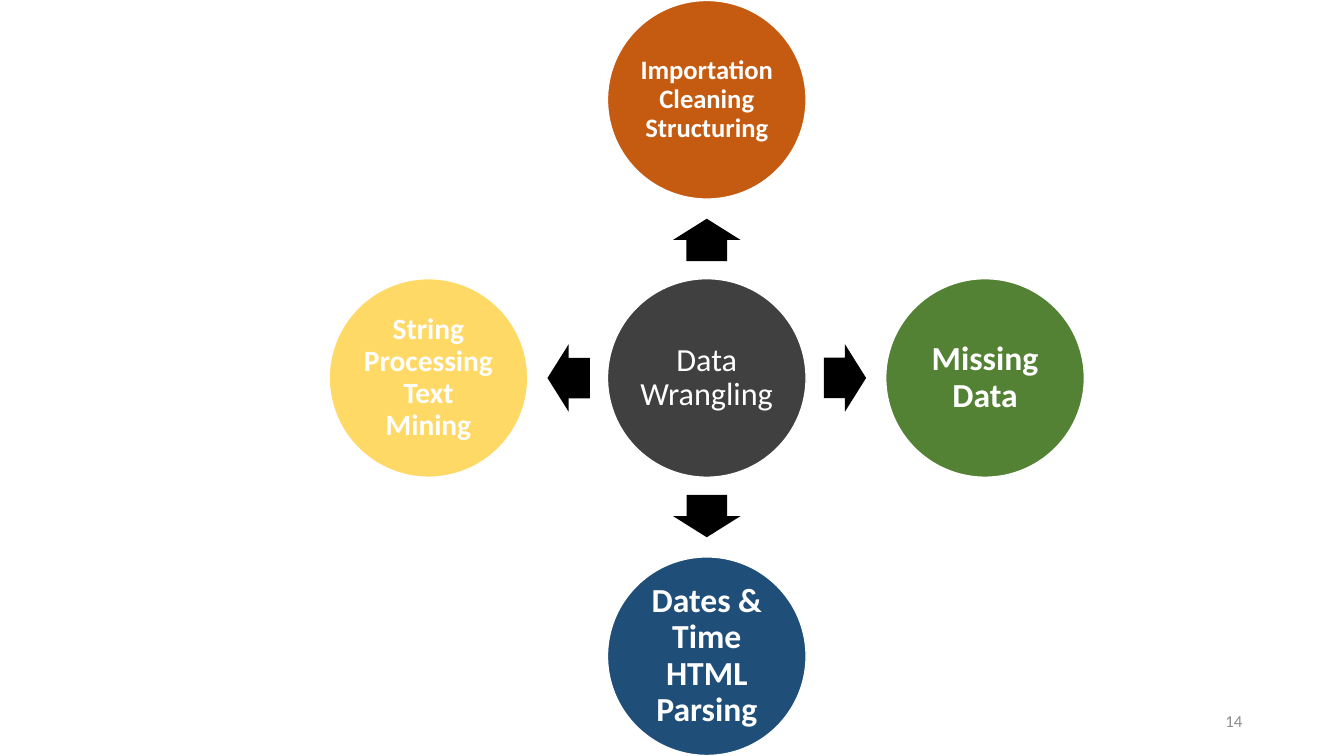
from pptx import Presentation
from pptx.dml.color import RGBColor
from pptx.enum.shapes import MSO_SHAPE
from pptx.enum.text import MSO_ANCHOR, PP_ALIGN
from pptx.util import Emu, Pt

SCALE = 9144
SIZE = 197
STEP = 276
REACH = 137
MID_X, MID_Y = 701, 375

TOPICS = [
    (0, -1, 270, "Importation Cleaning Structuring", 19, "C55A11"),
    (1, 0, 0, "Missing Data", 24, "548235"),
    (0, 1, 90, "Dates & Time HTML Parsing", 24, "1F4E79"),
    (-1, 0, 180, "String Processing Text Mining", 21, "FFD966"),
]


def px(num):
    return Emu(round(num * SCALE))


def color(code):
    return RGBColor.from_string(code)


def write(frame, text, size, ink, align, bold=False):
    frame.word_wrap = True
    frame.vertical_anchor = MSO_ANCHOR.MIDDLE
    frame.text = text
    para = frame.paragraphs[0]
    para.alignment = align
    font = para.runs[0].font
    font.name = "Calibri"
    font.size = Pt(size)
    font.bold = bold
    font.color.rgb = color(ink)
    return para


def add_solid(slide, kind, x, y, wide, high, fill):
    shape = slide.shapes.add_shape(
        kind, px(x - wide / 2), px(y - high / 2), px(wide), px(high))
    shape.shadow.inherit = False
    shape.fill.solid()
    shape.fill.fore_color.rgb = color(fill)
    return shape


def add_circle(slide, x, y, text, size, fill, bold=True):
    disc = add_solid(slide, MSO_SHAPE.OVAL, x, y, SIZE, SIZE, fill)
    disc.line.color.rgb = color("FFFFFF")
    disc.line.width = Pt(1)
    frame = disc.text_frame
    frame.margin_left = frame.margin_right = px(3)
    frame.margin_top = frame.margin_bottom = px(3)
    para = write(frame, text, size, "FFFFFF", PP_ALIGN.CENTER, bold)
    para.line_spacing = 0.9


def add_arrow(slide, x, y, turn):
    arrow = add_solid(slide, MSO_SHAPE.RIGHT_ARROW, x, y, 42, 67, "000000")
    arrow.line.fill.background()
    arrow.adjustments[0] = 0.6
    arrow.adjustments[1] = 0.5
    arrow.rotation = turn


def add_number(slide, text):
    box = slide.shapes.add_textbox(px(942), px(695), px(300), px(40))
    write(box.text_frame, text, 12, "8C8C8C", PP_ALIGN.RIGHT)


def main():
    deck = Presentation()
    deck.slide_width, deck.slide_height = px(1333), px(750)
    slide = deck.slides.add_slide(deck.slide_layouts[6])
    add_number(slide, "14")
    add_circle(slide, MID_X, MID_Y, "Data Wrangling", 23, "404040", False)
    for dx, dy, turn, text, size, fill in TOPICS:
        add_arrow(slide, MID_X + dx * REACH, MID_Y + dy * REACH, turn)
        add_circle(slide, MID_X + dx * STEP, MID_Y + dy * STEP,
                   text, size, fill)
    deck.save("out.pptx")


if __name__ == "__main__":
    main()
